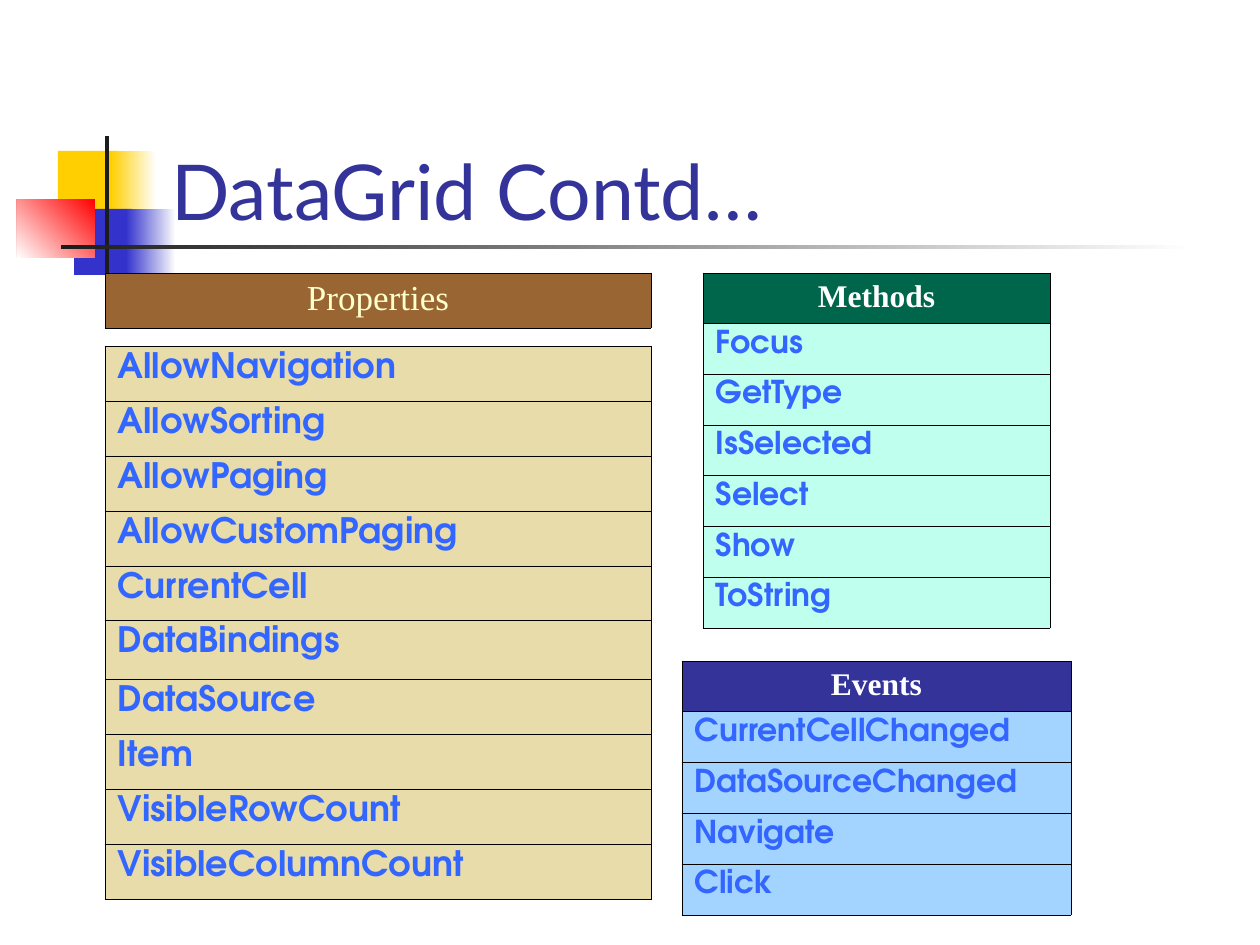
from dataclasses import dataclass
from typing import Optional

from lxml import etree
from pptx import Presentation
from pptx import util as u
from pptx.dml import color as dml
from pptx.enum import shapes, text
from pptx.oxml import ns

EMU_PER_PX = 914400 / 126
SERIF, GEOMETRIC, HEADING = "Times New Roman", "TeX Gyre Adventor", "Lato"
COLORS = {
    "white": "FFFFFF", "black": "000000", "ink": "1C1C1C",
    "yellow": "FFCF01", "blue": "3333CC", "red": "FF0000",
    "navy": "333399", "brown": "996633", "cream": "FFFFCC", "sand": "D1BA57",
    "green": "00664B", "mint": "BFFFEE", "sky": "A3D3FF", "item": "3366FF",
}


@dataclass
class Block:
    left: int
    top: int
    width: int
    height: int
    color: str
    fade_to: Optional[str] = None
    angle: int = 180


@dataclass
class CellStyle:
    fill: str
    color: str
    font: str
    size: int
    bold: bool = True
    align: text.PP_ALIGN = text.PP_ALIGN.JUSTIFY
    opacity: int = 100


@dataclass
class ListTable:
    left: int
    top: int
    width: int
    height: int
    rows: list[tuple[str, CellStyle]]
    tall_row: Optional[int] = None
    extra: int = 0


def px(length: float) -> int:
    return round(length * EMU_PER_PX)


def rgb(name: str) -> dml.RGBColor:
    return dml.RGBColor.from_string(COLORS[name])


def add_run(paragraph, words: str, font: str, size: int, color: str, bold: bool = False) -> None:
    run = paragraph.add_run()
    run.text = words
    run.font.name = font
    run.font.size = u.Pt(size)
    run.font.bold = bold
    run.font.color.rgb = rgb(color)


def add_block(slide, block: Block) -> None:
    shape = slide.shapes.add_shape(
        shapes.MSO_SHAPE.RECTANGLE,
        px(block.left), px(block.top), px(block.width), px(block.height))
    shape.shadow.inherit = False
    shape.line.fill.background()
    if block.fade_to is None:
        shape.fill.solid()
        shape.fill.fore_color.rgb = rgb(block.color)
        return
    shape.fill.gradient()
    shape.fill.gradient_angle = block.angle
    for stop, name in zip(shape.fill.gradient_stops, (block.color, block.fade_to)):
        stop.color.rgb = rgb(name)


def add_title(slide, words: str) -> None:
    shape = slide.shapes.add_textbox(px(159), px(84), px(1074), px(158))
    frame = shape.text_frame
    frame.word_wrap = True
    frame.vertical_anchor = text.MSO_ANCHOR.BOTTOM
    add_run(frame.paragraphs[0], words, HEADING, 44, "navy")


def add_borders(cell) -> None:
    properties = cell._tc.get_or_add_tcPr()
    for position, side in enumerate(("lnL", "lnR", "lnT", "lnB")):
        line = etree.Element(ns.qn(f"a:{side}"), w=str(u.Pt(0.45)))
        fill = etree.SubElement(line, ns.qn("a:solidFill"))
        etree.SubElement(fill, ns.qn("a:srgbClr"), val=COLORS["black"])
        properties.insert(position, line)


def fill_cell(cell, words: str, style: CellStyle) -> None:
    cell.fill.solid()
    cell.fill.fore_color.rgb = rgb(style.fill)
    if style.opacity < 100:
        tint = cell._tc.tcPr.find(".//" + ns.qn("a:srgbClr"))
        etree.SubElement(tint, ns.qn("a:alpha"), val=str(style.opacity * 1000))
    add_borders(cell)
    paragraph = cell.text_frame.paragraphs[0]
    paragraph.alignment = style.align
    add_run(paragraph, words, style.font, style.size, style.color, style.bold)


def add_list_table(slide, listing: ListTable) -> None:
    count = len(listing.rows)
    table = slide.shapes.add_table(
        count, 1, px(listing.left), px(listing.top),
        px(listing.width), px(listing.height)).table
    table.first_row = table.horz_banding = False
    row_height = (listing.height - listing.extra) / count
    for index, (words, style) in enumerate(listing.rows):
        extra = listing.extra if index == listing.tall_row else 0
        table.rows[index].height = px(row_height + extra)
        fill_cell(table.cell(index, 0), words, style)


def styled(words: str, style: CellStyle) -> list[tuple[str, CellStyle]]:
    return [(word, style) for word in words.split()]


def header(fill: str) -> CellStyle:
    return CellStyle(fill, "white", SERIF, 18, align=text.PP_ALIGN.CENTER)


PROPERTIES_HEADER = CellStyle("brown", "cream", SERIF, 20, False, text.PP_ALIGN.CENTER)
PROPERTY = CellStyle("sand", "item", GEOMETRIC, 20, opacity=50)
METHOD = CellStyle("mint", "item", GEOMETRIC, 18)
EVENT = CellStyle("sky", "item", GEOMETRIC, 18)

BLOCKS = [
    Block(58, 151, 60, 66, "yellow"),
    Block(111, 151, 45, 66, "white", "yellow"),
    Block(74, 209, 58, 66, "blue"),
    Block(126, 209, 50, 66, "white", "blue"),
    Block(17, 199, 78, 59, "red", "white", 225),
    Block(105, 136, 4, 145, "ink"),
    Block(61, 245, 1134, 4, "white", "ink"),
]

TABLES = [
    ListTable(105, 273, 546, 55, styled("Properties", PROPERTIES_HEADER)),
    ListTable(105, 346, 546, 554, styled(
        "AllowNavigation AllowSorting AllowPaging AllowCustomPaging CurrentCell "
        "DataBindings DataSource Item VisibleRowCount VisibleColumnCount", PROPERTY),
        tall_row=5, extra=4),
    ListTable(703, 273, 347, 355, styled("Methods", header("green")) + styled(
        "Focus GetType IsSelected Select Show ToString", METHOD)),
    ListTable(682, 661, 389, 254, styled("Events", header("navy")) + styled(
        "CurrentCellChanged DataSourceChanged Navigate Click", EVENT)),
]


def main() -> None:
    presentation = Presentation()
    presentation.slide_width, presentation.slide_height = px(1260), px(945)
    slide = presentation.slides.add_slide(presentation.slide_layouts[6])
    for block in BLOCKS:
        add_block(slide, block)
    add_title(slide, "DataGrid Contd…")
    for listing in TABLES:
        add_list_table(slide, listing)
    presentation.save("out.pptx")


if __name__ == "__main__":
    main()
